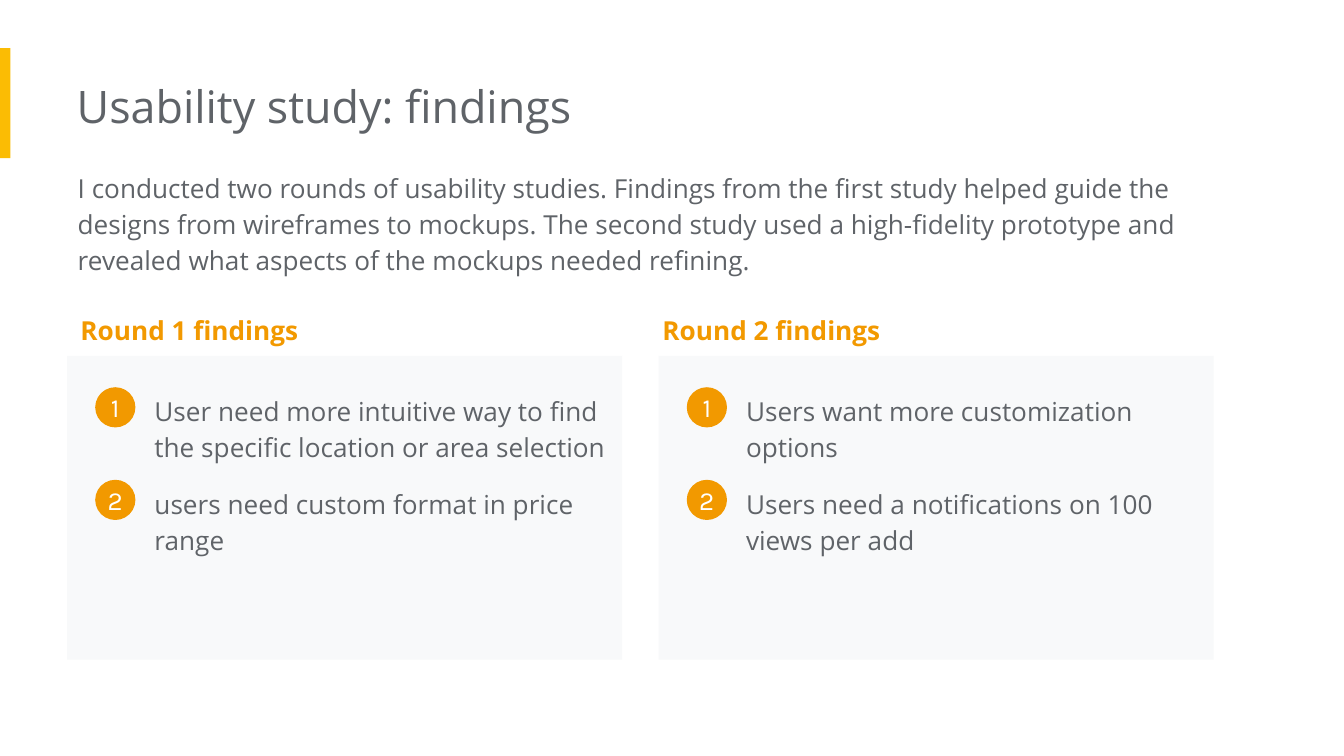
from dataclasses import dataclass

from pptx import Presentation
from pptx.dml.color import RGBColor
from pptx.enum import shapes, text
from pptx.util import Cm, Pt

GREY, ORANGE, YELLOW, PALE, WHITE = "5F6368", "F29900", "FBBC04", "F8F9FA", "FFFFFF"
CARD_TOP, CARD_WIDTH, CARD_HEIGHT = 6.73, 10.49, 5.74
FINDING_STEP = 1.75
BADGE_SIZE = 0.76


@dataclass
class Round:
    heading: str
    heading_left: float
    card_left: float
    findings: list[str]


ROUNDS = [
    Round("Round 1 findings", 1.27, 1.27, [
        "User need more intuitive way to find the specific location or area selection",
        "users need custom format in price range",
    ]),
    Round("Round 2 findings", 12.27, 12.45, [
        "Users want more customization options",
        "Users need a notifications on 100 views per add",
    ]),
]


def color(hex_value: str) -> RGBColor:
    return RGBColor.from_string(hex_value)


def write(shape, wording: str, size: float = 14, font: str = "Open Sans",
          ink: str = GREY, bold: bool = False, spacing: float = 1.15,
          align=text.PP_ALIGN.LEFT, anchor=text.MSO_ANCHOR.TOP,
          inset: float = 0.25, left_inset: float = 0.25) -> None:
    frame = shape.text_frame
    frame.text = wording
    frame.word_wrap = True
    frame.auto_size = text.MSO_AUTO_SIZE.NONE
    frame.vertical_anchor = anchor
    frame.margin_left = Cm(left_inset)
    frame.margin_top = frame.margin_right = frame.margin_bottom = Cm(inset)
    paragraph = frame.paragraphs[0]
    paragraph.alignment = align
    paragraph.line_spacing = spacing
    style = paragraph.runs[0].font
    style.name, style.size, style.bold = font, Pt(size), bold
    style.color.rgb = color(ink)


def add_block(slide, kind, left: float, top: float, width: float, height: float, fill: str):
    block = slide.shapes.add_shape(kind, Cm(left), Cm(top), Cm(width), Cm(height))
    block.shadow.inherit = False
    block.fill.solid()
    block.fill.fore_color.rgb = color(fill)
    block.line.fill.background()
    return block


def add_text(slide, left: float, top: float, width: float, height: float,
             wording: str, **style) -> None:
    box = slide.shapes.add_textbox(Cm(left), Cm(top), Cm(width), Cm(height))
    write(box, wording, **style)


def add_finding(slide, card_left: float, number: int, wording: str) -> None:
    top = CARD_TOP + 0.41 + (number - 1) * FINDING_STEP
    add_text(slide, card_left + 1.4, top, 9.27, 1.88, wording)
    badge = add_block(slide, shapes.MSO_SHAPE.OVAL, card_left + 0.53, top + 0.18,
                      BADGE_SIZE, BADGE_SIZE, ORANGE)
    write(badge, str(number), font="Karla", ink=WHITE, spacing=1.0,
          align=text.PP_ALIGN.CENTER, anchor=text.MSO_ANCHOR.MIDDLE,
          inset=0, left_inset=0)


def add_round(slide, study: Round) -> None:
    add_text(slide, study.heading_left, 5.61, 9.27, 1.12, study.heading,
             ink=ORANGE, bold=True)
    add_block(slide, shapes.MSO_SHAPE.RECTANGLE, study.card_left, CARD_TOP,
              CARD_WIDTH, CARD_HEIGHT, PALE)
    for number, wording in enumerate(study.findings, start=1):
        add_finding(slide, study.card_left, number, wording)


def main() -> None:
    deck = Presentation()
    deck.slide_width, deck.slide_height = Cm(25.4), Cm(14.29)
    slide = deck.slides.add_slide(deck.slide_layouts[5])

    # Accent bar and title
    add_block(slide, shapes.MSO_SHAPE.RECTANGLE, 0, 0.91, 0.2, 2.08, YELLOW)
    title = slide.shapes.title
    title.left, title.top, title.width, title.height = Cm(1.45), Cm(1.24), Cm(17.09), Cm(1.55)
    write(title, "Usability study: findings", size=24, spacing=1.0, left_inset=0)

    # Introduction
    add_text(slide, 1.47, 2.92, 21.87, 3.25,
             "I conducted two rounds of usability studies. Findings from the first "
             "study helped guide the designs from wireframes to mockups. The second "
             "study used a high-fidelity prototype and revealed what aspects of the "
             "mockups needed refining.", left_inset=0)

    # Findings of each round
    for study in ROUNDS:
        add_round(slide, study)

    deck.save("out.pptx")


if __name__ == "__main__":
    main()
